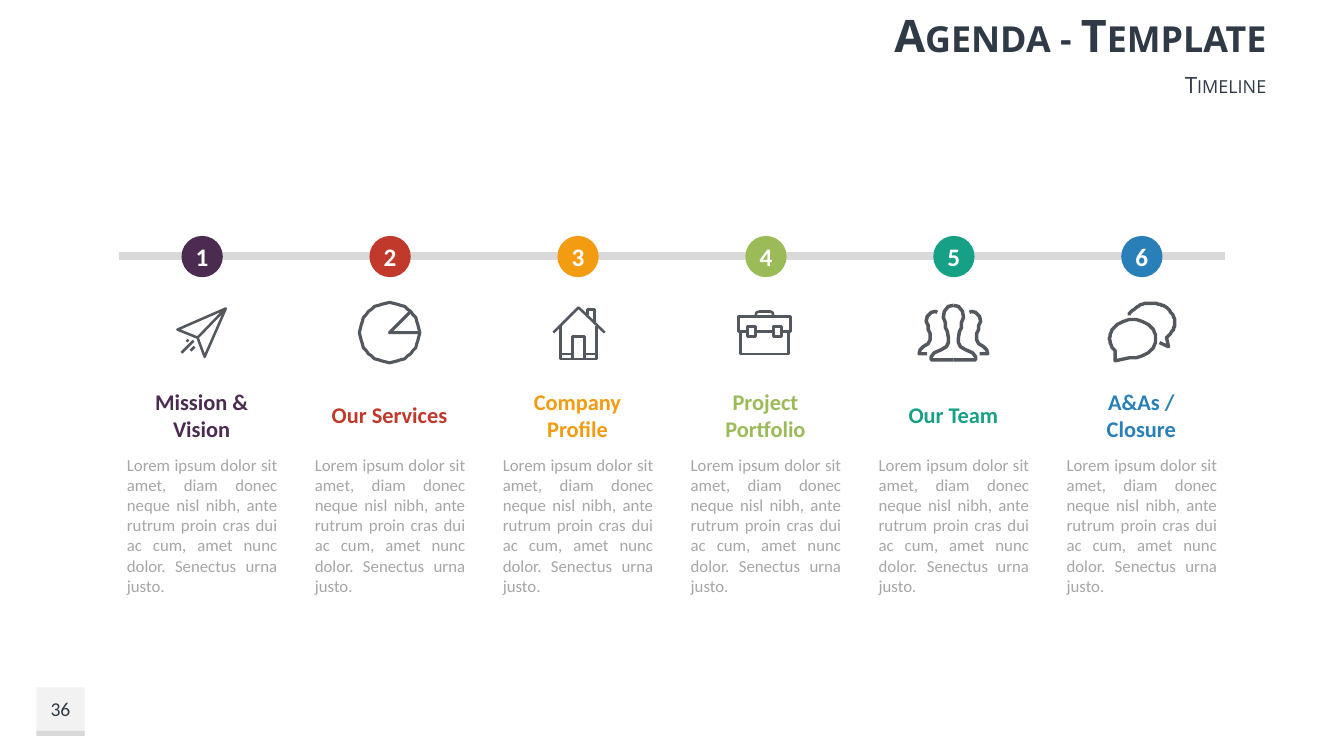
from math import cos, radians, sin
from lxml.etree import SubElement
from pptx import Presentation
from pptx.dml.color import RGBColor
from pptx.enum.shapes import MSO_CONNECTOR, MSO_SHAPE
from pptx.enum.text import MSO_ANCHOR, PP_ALIGN
from pptx.oxml.ns import qn
from pptx.util import Inches, Pt

color = RGBColor.from_string
INK, ICON, RAIL = "2F3A46", "53585F", "D9D9D9"
FIRST, PITCH = 2.0, 9.32 / 5  # centre of the first column, column width
LINE_Y, ICON_Y = 2.54, 3.3
LOREM = ("Lorem ipsum dolor sit amet, diam donec neque nisl nibh, ante rutrum "
         "proin cras dui ac cum, amet nunc dolor. Senectus urna justo.")


def write(shape, text, align, anchor=MSO_ANCHOR.MIDDLE, small_caps=False, **font_format):
    frame = shape.text_frame
    frame.word_wrap = True
    frame.vertical_anchor = anchor
    paragraph = frame.paragraphs[0]
    paragraph.alignment = align
    paragraph.space_before = Pt(0)
    run = paragraph.add_run()
    run.text = text
    for name, value in font_format.items():
        if name == "color":
            run.font.color.rgb = color(value)
        else:
            setattr(run.font, name, value)
    if small_caps:
        run._r.get_or_add_rPr().set("cap", "small")


def arc(x, y, radius_x, radius_y, start=0, end=360):
    angles = [radians(start + (end - start) * step / 48) for step in range(49)]
    return [(x + radius_x * cos(a), y + radius_y * sin(a)) for a in angles]


# Icon strokes: hundredths of an inch from the icon centre
plane = [
    [(24, -24), (-24, -3), (-4, 5), (3, 24), (24, -24), (-4, 5)],
    [(-7, 14), (-11, 18)], [(-8, 8), (-20, 20)], [(-13, 7), (-15, 9)],
]
pie = [arc(0, 0, 29.5, 29.5), [(20, -20), (0, 0), (29, 0)]]
house = [
    [(-24, 0), (1, -25), (27, 0)],
    [(-17, -7), (-17, 26), (19, 26), (19, -7)],
    [(-5, 26), (-5, 4), (7, 4), (7, 26)],
    [(-17, 21), (-5, 21)], [(7, 21), (19, 21)],
    [(10, -17), (10, -23), (17, -23), (17, -10)],
    arc(2, 16, 0.3, 0.3),
]
briefcase = [
    [(-18, -1), (-27, -1), (-27, -16), (25, -16), (25, -1), (16, -1)],
    [(-10, -1), (8, -1)],
    [(-25, -1), (-25, 21), (23, 21), (23, -1)],
    [(-10, -16), (-9, -20), (-6, -21), (5, -21), (7, -20), (8, -16)],
] + [[(x, -6), (x + 8, -6), (x + 8, 4), (x, 4), (x, -6)] for x in (-18, 8)]
leader = [(0, -27), (5, -26), (9, -21), (10, -15), (8.5, -10), (8.5, -5), (6, -1),
          (5, 5), (5, 10), (7, 14), (12, 17), (19, 20), (22, 24), (22, 27), (0, 27)]
member = [(16, -20), (18, -21), (22, -20), (26, -16), (27, -11), (25, -7), (25, -3),
          (23, 1), (23, 7), (25, 11), (30, 14), (33, 17), (34, 21), (26, 21)]
team = [[(side * x, y) for x, y in half] for half in (leader, member) for side in (1, -1)]
left_bubble = arc(-8.5, 6, 23, 19, 140, 460) + [(-26, 28)]
bubbles = [
    left_bubble + left_bubble[:1],
    arc(9.5, -10, 23.5, 19.5, 202, 410) + [(27, 14), (18, 10)],
]

agenda = [
    ("Mission & Vision", "4B2C50", plane, 1.8),
    ("Our Services", "C0392B", pie, 2.25),
    ("Company Profile", "F39C12", house, 1.8),
    ("Project Portfolio", "9BBB59", briefcase, 1.8),
    ("Our Team", "16A085", team, 2.5),
    ("A&As / Closure", "2980B9", bubbles, 2.4),
]

presentation = Presentation()
presentation.slide_width, presentation.slide_height = Inches(13.33), Inches(7.5)
slide = presentation.slides.add_slide(presentation.slide_layouts[0])
shapes = slide.shapes

# Title and subtitle
headings = [
    (shapes.title, "Agenda - Template", 0, 0.68, 32, True),
    (slide.placeholders[1], "Timeline", 0.68, 0.31, 16, False),
]
for placeholder, text, top, height, size, bold in headings:
    placeholder.left, placeholder.top = Inches(4.25), Inches(top)
    placeholder.width, placeholder.height = Inches(8.41), Inches(height)
    write(placeholder, text, PP_ALIGN.RIGHT, small_caps=True,
          name="Open Sans", size=Pt(size), bold=bold, color=INK)

# Page number tile
for top, height, fill in ((6.82, 0.48, "F2F2F2"), (7.25, 0.05, RAIL)):
    tile = shapes.add_shape(MSO_SHAPE.RECTANGLE, Inches(0.36), Inches(top),
                            Inches(0.48), Inches(height))
    tile.shadow.inherit = False
    tile.fill.solid()
    tile.fill.fore_color.rgb = color(fill)
    tile.line.fill.background()
page_number = shapes.add_textbox(Inches(0.36), Inches(6.82), Inches(0.48), Inches(0.43))
page_number.text_frame.margin_left = page_number.text_frame.margin_right = 0
write(page_number, "36", PP_ALIGN.CENTER, name="Calibri", size=Pt(14), color=INK)

# Timeline rail
rail = shapes.add_connector(MSO_CONNECTOR.STRAIGHT, Inches(1.18), Inches(LINE_Y),
                            Inches(12.15), Inches(LINE_Y))
rail.line.color.rgb = color(RAIL)
rail.line.width = Pt(6)
SubElement(rail._element.spPr, qn("a:effectLst"))

# Agenda columns
for index, (topic, accent, strokes, weight) in enumerate(agenda):
    centre = FIRST + PITCH * index

    badge = shapes.add_shape(MSO_SHAPE.OVAL, Inches(centre - 0.2), Inches(LINE_Y - 0.2),
                             Inches(0.41), Inches(0.41))
    badge.shadow.inherit = False
    badge.fill.solid()
    badge.fill.fore_color.rgb = color(accent)
    badge.line.fill.background()
    for side in ("left", "right", "top", "bottom"):
        setattr(badge.text_frame, f"margin_{side}", 0)
    write(badge, str(index + 1), PP_ALIGN.CENTER,
          name="Calibri", size=Pt(18), bold=True, color="FFFFFF")

    builder = shapes.build_freeform(*strokes[0][0], scale=Inches(0.01))
    for stroke in strokes:
        builder.move_to(*stroke[0])
        builder.add_line_segments(stroke[1:], close=False)
    icon = builder.convert_to_shape(Inches(centre), Inches(ICON_Y))
    icon.shadow.inherit = False
    icon.fill.background()
    icon.line.color.rgb = color(ICON)
    icon.line.width = Pt(weight)

    label = shapes.add_textbox(Inches(centre - 0.78), Inches(3.93), Inches(1.56), Inches(0.37))
    write(label, topic, PP_ALIGN.CENTER,
          name="Calibri", size=Pt(16), bold=True, color=accent)
    body = shapes.add_textbox(Inches(centre - 0.84), Inches(4.46), Inches(1.69), Inches(1.51))
    write(body, LOREM, PP_ALIGN.JUSTIFY, MSO_ANCHOR.TOP,
          name="Calibri", size=Pt(12), color="A6A6A6")

presentation.save("out.pptx")
